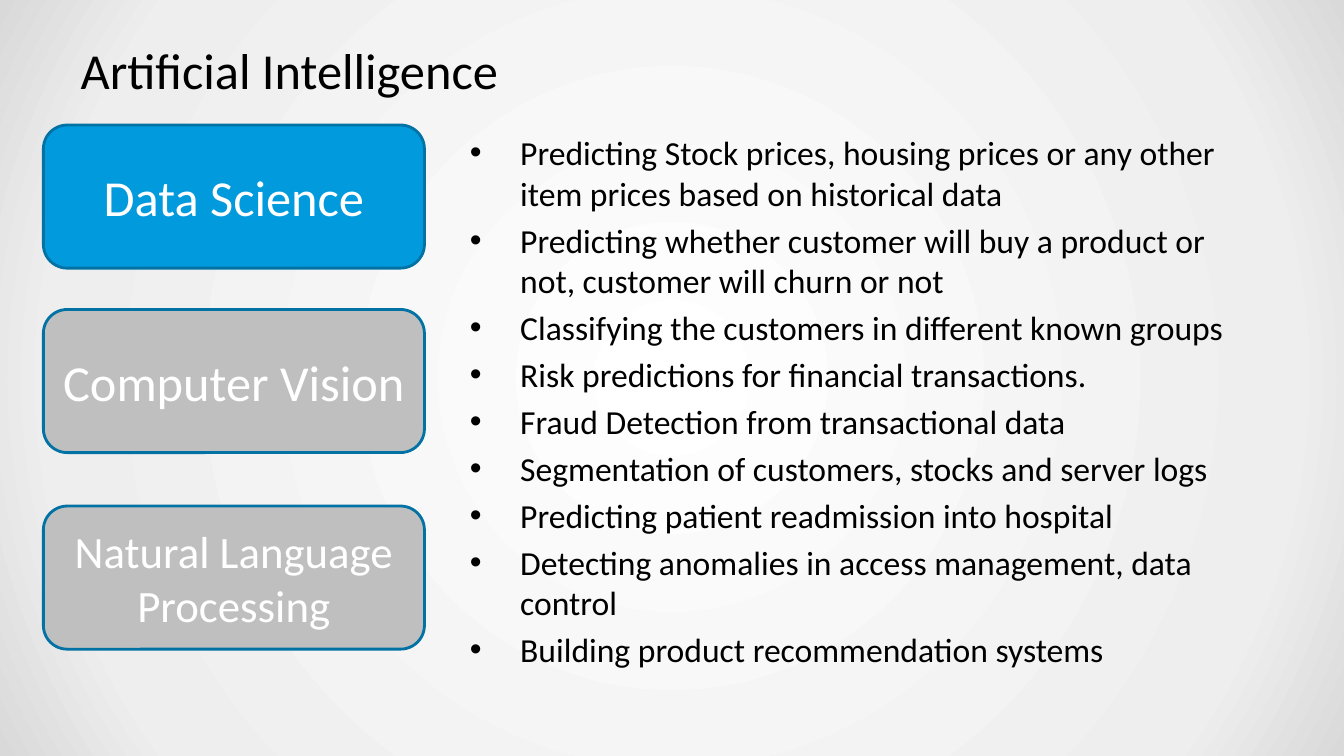
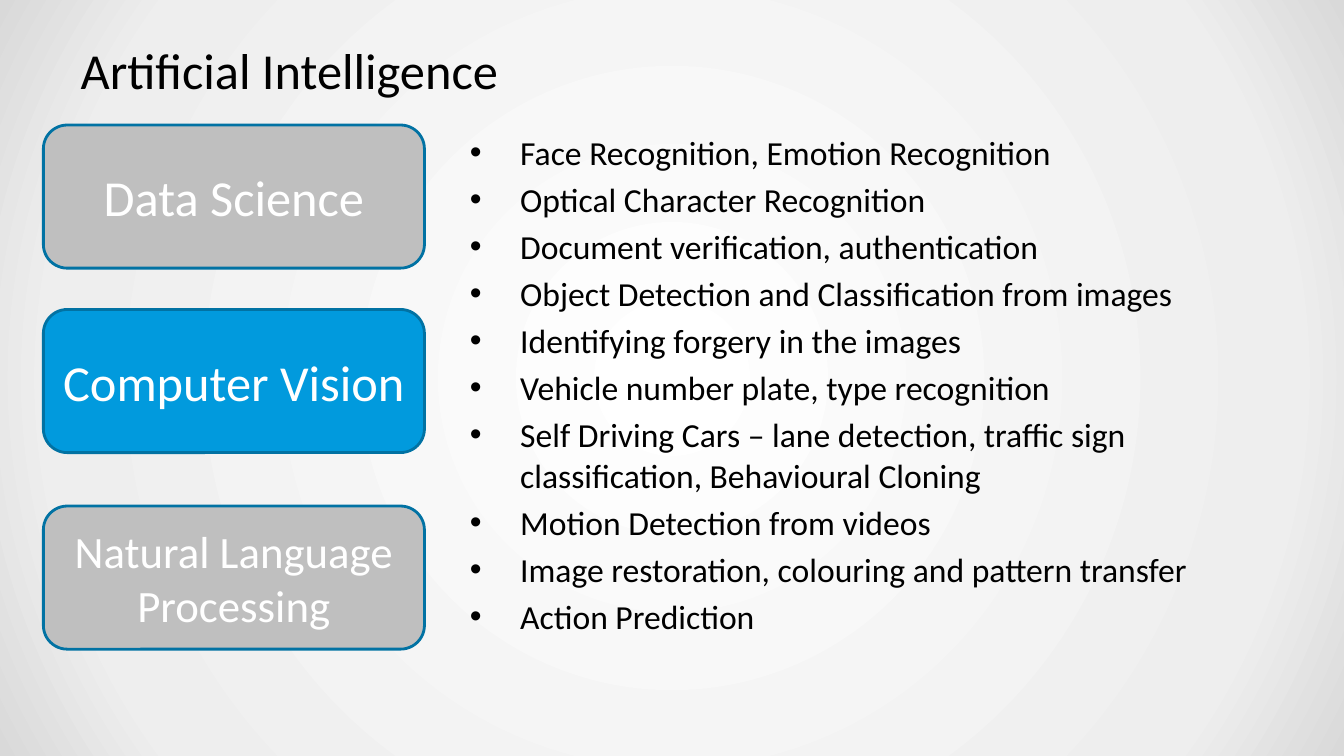
from dataclasses import dataclass

from lxml import etree
from pptx import Presentation
from pptx.dml.color import RGBColor
from pptx.enum.shapes import MSO_SHAPE
from pptx.enum.text import MSO_ANCHOR, PP_ALIGN
from pptx.oxml import parse_xml
from pptx.oxml.ns import nsdecls, qn
from pptx.util import Inches, Pt

ROUNDED = MSO_SHAPE.ROUNDED_RECTANGLE
MIDDLE = MSO_ANCHOR.MIDDLE
TOP = MSO_ANCHOR.TOP
CENTER = PP_ALIGN.CENTER


@dataclass(frozen=True)
class Theme:
    font: str = "Calibri"
    text: str = "000000"
    on_topic: str = "FFFFFF"
    active: str = "019ADD"
    inactive: str = "BFBFBF"
    outline: str = "0172A3"
    backdrop: tuple = ((0, "FFFFFF"), (81, "EEEEEE"), (100, "D9D9D9"))
    title_size: int = 36
    body_size: int = 24
    outline_width: int = 2
    bullet_gap: float = 4.8
    bullet_indent: float = 0.5


TITLE = "Artificial Intelligence"
TOPICS = (
    ("Data Science", 1.24, 36),
    ("Computer Vision", 3.07, 36),
    ("Natural Language Processing", 5.02, 32),
)
USES = {
    "Data Science": (
        "Predicting Stock prices, housing prices or any other item prices based on historical data",
        "Predicting whether customer will buy a product or not, customer will churn or not",
        "Classifying the customers in different known groups",
        "Risk predictions for financial transactions.",
        "Fraud Detection from transactional data",
        "Segmentation of customers, stocks and server logs",
        "Predicting patient readmission into hospital",
        "Detecting anomalies in access management, data control",
        "Building product recommendation systems",
    ),
    "Computer Vision": (
        "Face Recognition, Emotion Recognition",
        "Optical Character Recognition",
        "Document verification, authentication",
        "Object Detection and Classification from images",
        "Identifying forgery in the images",
        "Vehicle number plate, type recognition",
        "Self Driving Cars – lane detection, traffic sign classification, Behavioural Cloning",
        "Motion Detection from videos",
        "Image restoration, colouring and pattern transfer",
        "Action Prediction",
    ),
}


class Deck:
    def __init__(self, theme):
        self.theme = theme
        self.slide = None
        self.presentation = Presentation()
        self.presentation.slide_width = Inches(13.33)
        self.presentation.slide_height = Inches(7.5)
        self.paint_backdrop()

    def paint_backdrop(self):
        master = self.presentation.slide_master
        master.background.fill.gradient()
        gradient = next(master.element.iter(qn("a:gradFill")))
        stops = "".join(
            f'<a:gs pos="{percent * 1000}"><a:srgbClr val="{color}"/></a:gs>'
            for percent, color in self.theme.backdrop
        )
        gradient.getparent().replace(gradient, parse_xml(
            f'<a:gradFill {nsdecls("a")} rotWithShape="1"><a:gsLst>{stops}</a:gsLst>'
            '<a:path path="circle"><a:fillToRect l="50000" t="50000" r="50000" b="50000"/>'
            '</a:path></a:gradFill>'
        ))

    def new_slide(self):
        blank = self.presentation.slide_layouts[6]
        self.slide = self.presentation.slides.add_slide(blank)

    def style(self, paragraph, size, color):
        paragraph.font.name = self.theme.font
        paragraph.font.size = Pt(size)
        paragraph.font.color.rgb = RGBColor.from_string(color)

    def text_frame(self, left, top, width, height, anchor):
        box = self.slide.shapes.add_textbox(
            Inches(left), Inches(top), Inches(width), Inches(height))
        frame = box.text_frame
        frame.word_wrap = True
        frame.vertical_anchor = anchor
        frame.margin_left = frame.margin_right = Inches(0.13)
        frame.margin_top = frame.margin_bottom = Inches(0.07)
        return frame

    def title(self, text):
        heading = self.text_frame(0.67, 0.3, 12, 0.78, MIDDLE).paragraphs[0]
        heading.text = text
        self.style(heading, self.theme.title_size, self.theme.text)

    def bullets(self, items):
        frame = self.text_frame(4.53, 1.24, 8.14, 5.45, TOP)
        indent = Inches(self.theme.bullet_indent)
        for index, item in enumerate(items):
            paragraph = frame.add_paragraph() if index else frame.paragraphs[0]
            paragraph.text = item
            if index:
                paragraph.space_before = Pt(self.theme.bullet_gap)
            properties = paragraph._p.get_or_add_pPr()
            properties.set("marL", str(indent))
            properties.set("indent", str(-indent))
            etree.SubElement(properties, qn("a:buFont"), typeface="Arial")
            etree.SubElement(properties, qn("a:buChar"), char="•")
            self.style(paragraph, self.theme.body_size, self.theme.text)

    def topic(self, name, top, size, active):
        theme = self.theme
        button = self.slide.shapes.add_shape(
            ROUNDED, Inches(0.43), Inches(top), Inches(3.78), Inches(1.42))
        button.shadow.inherit = False
        button.fill.solid()
        button.fill.fore_color.rgb = RGBColor.from_string(
            theme.active if active else theme.inactive)
        button.line.color.rgb = RGBColor.from_string(theme.outline)
        button.line.width = Pt(theme.outline_width)
        frame = button.text_frame
        frame.word_wrap = True
        frame.vertical_anchor = MIDDLE
        label = frame.paragraphs[0]
        label.text = name
        label.alignment = CENTER
        self.style(label, size, theme.on_topic)


def main():
    deck = Deck(Theme())
    for current, uses in USES.items():
        deck.new_slide()
        deck.title(TITLE)
        deck.bullets(uses)
        for name, top, size in TOPICS:
            deck.topic(name, top, size, name == current)
    deck.presentation.save("out.pptx")


if __name__ == "__main__":
    main()
